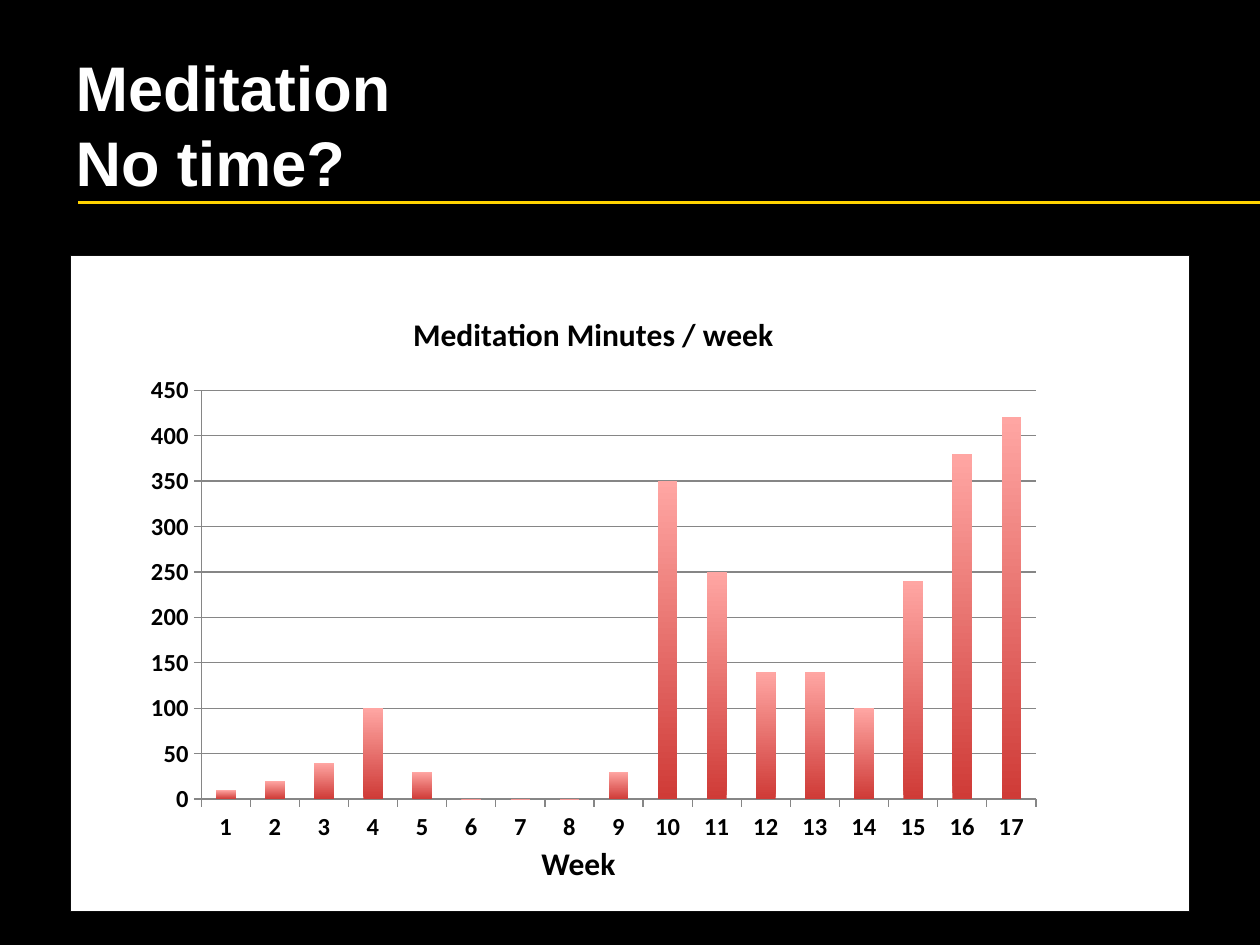
from dataclasses import dataclass

from lxml import etree
from pptx import Presentation, util as u
from pptx.chart.data import CategoryChartData
from pptx.dml.color import RGBColor
from pptx.enum import chart as charts, shapes, text
from pptx.oxml import ns

Pt = u.Pt


@dataclass(frozen=True)
class Theme:
    black: str = "000000"
    white: str = "FFFFFF"
    backdrop_edge: str = "4B7EBC"
    panel_edge: str = "0D0D0D"
    rule: str = "FFD300"
    grid: str = "868686"
    bar_bottom: str = "CF3B37"
    bar_top: str = "FFA6A3"
    heading_font: str = "Arial"
    chart_font: str = "Calibri"
    heading_size: int = 36
    label_size: int = 18
    tick_size: int = 14


def format_font(font, name, size, color, bold=True):
    font.name, font.size, font.bold = name, Pt(size), bold
    font.color.rgb = RGBColor.from_string(color)


def write(frame, content, align, anchor, **style):
    """Put one paragraph in the frame; a vertical tab breaks the line."""
    frame.word_wrap = True
    frame.vertical_anchor = anchor
    para = frame.paragraphs[0]
    para.text = content
    para.alignment = align
    for span in para.runs:
        format_font(span.font, **style)


def set_line(line, color, width=0.75):
    line.color.rgb = RGBColor.from_string(color)
    line.width = Pt(width)


def set_plot_area(chart, box, plot_box):
    """Fix the inner plot area; both boxes are in points on the slide."""
    left, top, width, height = box
    plot_left, plot_top, plot_width, plot_height = plot_box
    settings = {
        "layoutTarget": "inner", "xMode": "edge", "yMode": "edge",
        "x": (plot_left - left) / width, "y": (plot_top - top) / height,
        "w": plot_width / width, "h": plot_height / height,
    }
    area = chart._chartSpace.chart.plotArea
    for old in area.findall(ns.qn("c:layout")):
        area.remove(old)
    layout = etree.Element(ns.qn("c:layout"))
    manual = etree.SubElement(layout, ns.qn("c:manualLayout"))
    for tag, value in settings.items():
        etree.SubElement(manual, ns.qn(f"c:{tag}")).set("val", str(value))
    area.insert(0, layout)


class SlideBuilder:
    """Draws elements on one page; every box is left, top, width, height in points."""

    def __init__(self, page, theme):
        self.page, self.theme = page, theme

    def panel(self, box, fill, edge):
        shape = self.page.shapes.add_shape(
            shapes.MSO_SHAPE.RECTANGLE, *map(Pt, box))
        shape.shadow.inherit = False
        shape.fill.solid()
        shape.fill.fore_color.rgb = RGBColor.from_string(fill)
        set_line(shape.line, edge)
        return shape

    def backdrop(self, box):
        shape = self.panel(box, self.theme.black, self.theme.backdrop_edge)
        self.page.shapes._spTree.insert(2, shape._element)

    def title(self, box, content):
        title = self.page.shapes.title
        title.left, title.top, title.width, title.height = map(Pt, box)
        write(title.text_frame, content, text.PP_ALIGN.LEFT, text.MSO_ANCHOR.MIDDLE,
              name=self.theme.heading_font, size=self.theme.heading_size,
              color=self.theme.white)

    def label(self, box, content):
        label = self.page.shapes.add_textbox(*map(Pt, box))
        write(label.text_frame, content, text.PP_ALIGN.CENTER, text.MSO_ANCHOR.TOP,
              name=self.theme.chart_font, size=self.theme.label_size,
              color=self.theme.black)
        label.text_frame.auto_size = text.MSO_AUTO_SIZE.SHAPE_TO_FIT_TEXT

    def rule(self, left, right, top):
        rule = self.page.shapes.add_connector(
            shapes.MSO_CONNECTOR.STRAIGHT, Pt(left), Pt(top), Pt(right), Pt(top))
        set_line(rule.line, self.theme.rule, 2)
        etree.SubElement(rule._element.spPr, ns.qn("a:effectLst"))

    def column_chart(self, box, plot_box, heading, categories, values):
        theme = self.theme
        data = CategoryChartData()
        data.categories = categories
        data.add_series("Series 1", values)
        chart = self.page.shapes.add_chart(
            charts.XL_CHART_TYPE.COLUMN_STACKED, *map(Pt, box), data).chart
        format_font(chart.font, theme.chart_font, 10, theme.black, bold=False)
        chart.has_legend = False
        chart.has_title = True
        write(chart.chart_title.text_frame, heading, text.PP_ALIGN.CENTER,
              text.MSO_ANCHOR.MIDDLE, name=theme.chart_font,
              size=theme.label_size, color=theme.black)
        set_plot_area(chart, box, plot_box)

        plot = chart.plots[0]
        plot.gap_width, plot.overlap, plot.vary_by_categories = 150, 100, False
        bars = plot.series[0].format
        bars.line.fill.background()
        bars.fill.gradient()
        bars.fill.gradient_angle = 90
        for stop, color in zip(bars.fill.gradient_stops,
                               (theme.bar_bottom, theme.bar_top)):
            stop.color.rgb = RGBColor.from_string(color)

        for axis in (chart.category_axis, chart.value_axis):
            axis.major_tick_mark = charts.XL_TICK_MARK.OUTSIDE
            axis.minor_tick_mark = charts.XL_TICK_MARK.NONE
            format_font(axis.tick_labels.font, theme.chart_font,
                        theme.tick_size, theme.black)
            set_line(axis.format.line, theme.grid)
        scale = chart.value_axis
        scale.minimum_scale, scale.maximum_scale, scale.major_unit = 0, 450, 50
        scale.has_major_gridlines = True
        set_line(scale.major_gridlines.format.line, theme.grid)


def main():
    deck = Presentation()
    deck.slide_width, deck.slide_height = Pt(720), Pt(540)
    page = deck.slides.add_slide(deck.slide_layouts[5])
    theme = Theme()
    builder = SlideBuilder(page, theme)
    minutes = (10, 20, 40, 100, 30, 0, 0, 0, 30,
               350, 250, 140, 140, 100, 240, 380, 420)
    weeks = [str(week) for week in range(1, len(minutes) + 1)]

    builder.backdrop((-6.5, -8.6, 733, 558))
    builder.title((36, 25.7, 648, 90), "Meditation \vNo time?")
    builder.rule(44.6, 761, 115.6)
    builder.panel((40.3, 146, 639.4, 375), theme.white, theme.panel_edge)
    builder.column_chart((75.6, 164.9, 527, 322.6), (115, 223, 477, 233.7),
                         "Meditation Minutes / week", weeks, minutes)
    builder.label((219.6, 478.8, 221.8, 28.8), "Week")
    deck.save("out.pptx")


if __name__ == "__main__":
    main()
